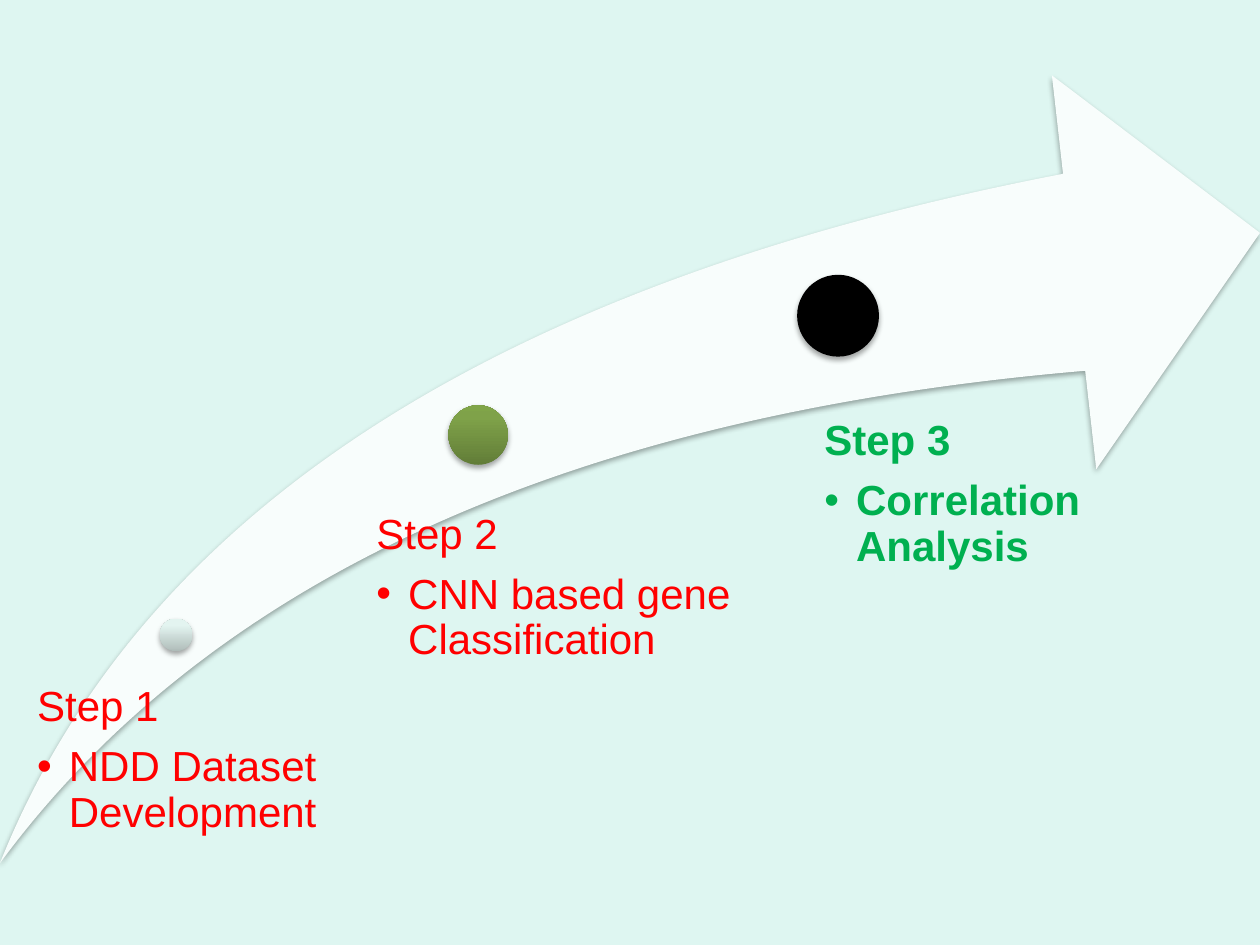
"""Build a slide with three project steps along a rising swoosh arrow."""
from lxml import etree
from pptx import Presentation
from pptx.dml.color import RGBColor
from pptx.enum.shapes import MSO_SHAPE
from pptx.oxml.ns import qn
from pptx.util import Cm, Pt

SWOOSH = MSO_SHAPE.SWOOSH_ARROW
OVAL = MSO_SHAPE.OVAL
BLANK_LAYOUT = 6
FONT = "Arial"
TEXT_SIZE = 24
INDENT = Cm(0.64)

COLORS = {
    "background": "DEF6F1",
    "arrow": "F8FDFC",
    "shadow": "000000",
    "black": "000000",
    "red": "FF0000",
    "green": "00B050",
}
MINT = [(0, "AFBCB9"), (80, "E3F4F0"), (100, "E3F6F2")]
OLIVE = [(0, "627D38"), (80, "7FA249"), (100, "80A548")]

ARROW_BOX = (0, 1.52, 25.4, 15.88)
STEPS = [
    {"title": "Step 1", "detail": "NDD Dataset Development", "color": "red", "bold": False,
     "dot": (3.22, 12.47, 0.66), "gradient": MINT,
     "box": (0.4, 13.82, 10.5, 4.6), "inset": 0.35},
    {"title": "Step 2", "detail": "CNN based gene Classification", "color": "red", "bold": False,
     "dot": (9.04, 8.17, 1.2), "gradient": OLIVE,
     "box": (6.96, 10.34, 10.74, 6.27), "inset": 0.63},
    {"title": "Step 3", "detail": "Correlation Analysis", "color": "green", "bold": True,
     "dot": (16.07, 5.54, 1.65), "gradient": None,
     "box": (15.75, 8.46, 6.1, 7.11), "inset": 0.87},
]


def rgb(name):
    return RGBColor.from_string(COLORS[name])


def add_child(parent, tag, **attributes):
    child = etree.SubElement(parent, qn(tag))
    for name, value in attributes.items():
        child.set(name, str(value))
    return child


def add_shadow(shape):
    shape.shadow.inherit = False
    effects = shape._element.spPr.find(qn("a:effectLst"))
    shadow = add_child(effects, "a:outerShdw", blurRad=Pt(3.1), dist=Pt(1.8),
                       dir=5400000, rotWithShape=0)
    color = add_child(shadow, "a:srgbClr", val=COLORS["shadow"])
    add_child(color, "a:alpha", val=35000)


def fill_gradient(shape, stops):
    shape.fill.gradient()
    shape.fill.gradient_angle = 90
    stop_list = shape._element.spPr.find(".//" + qn("a:gsLst"))
    for stop in list(stop_list):
        stop_list.remove(stop)
    for position, color in stops:
        stop = add_child(stop_list, "a:gs", pos=position * 1000)
        add_child(stop, "a:srgbClr", val=color)


def add_filled_shape(slide, kind, box, color, gradient=None):
    shape = slide.shapes.add_shape(kind, *map(Cm, box))
    if gradient:
        fill_gradient(shape, gradient)
    else:
        shape.fill.solid()
        shape.fill.fore_color.rgb = rgb(color)
    shape.line.fill.background()
    add_shadow(shape)
    return shape


def add_bullet(paragraph):
    paragraph.level = 1
    properties = paragraph._p.get_or_add_pPr()
    properties.set("marL", str(INDENT))
    properties.set("indent", str(-INDENT))
    add_child(properties, "a:buFont", typeface=FONT)
    add_child(properties, "a:buChar", char="•")


def add_step(slide, step):
    left, top, diameter = step["dot"]
    add_filled_shape(slide, OVAL, (left, top, diameter, diameter), "black", step["gradient"])

    frame = slide.shapes.add_textbox(*map(Cm, step["box"])).text_frame
    frame.word_wrap = True
    frame.margin_left = Cm(step["inset"])
    frame.margin_top = frame.margin_right = frame.margin_bottom = 0
    frame.text = step["title"] + "\n" + step["detail"]
    title, detail = frame.paragraphs
    add_bullet(detail)
    for paragraph, space_share in ((title, 0.35), (detail, 0.15)):
        paragraph.line_spacing = 0.9
        paragraph.space_after = Pt(TEXT_SIZE * space_share)
        paragraph.font.name = FONT
        paragraph.font.size = Pt(TEXT_SIZE)
        paragraph.font.bold = step["bold"]
        paragraph.font.color.rgb = rgb(step["color"])


def main():
    presentation = Presentation()
    presentation.slide_width, presentation.slide_height = Cm(25.4), Cm(19.05)
    slide = presentation.slides.add_slide(presentation.slide_layouts[BLANK_LAYOUT])
    slide.background.fill.solid()
    slide.background.fill.fore_color.rgb = rgb("background")

    arrow = add_filled_shape(slide, SWOOSH, ARROW_BOX, "arrow")
    arrow.adjustments[0] = arrow.adjustments[1] = 0.25
    for step in STEPS:
        add_step(slide, step)
    presentation.save("out.pptx")


if __name__ == "__main__":
    main()
